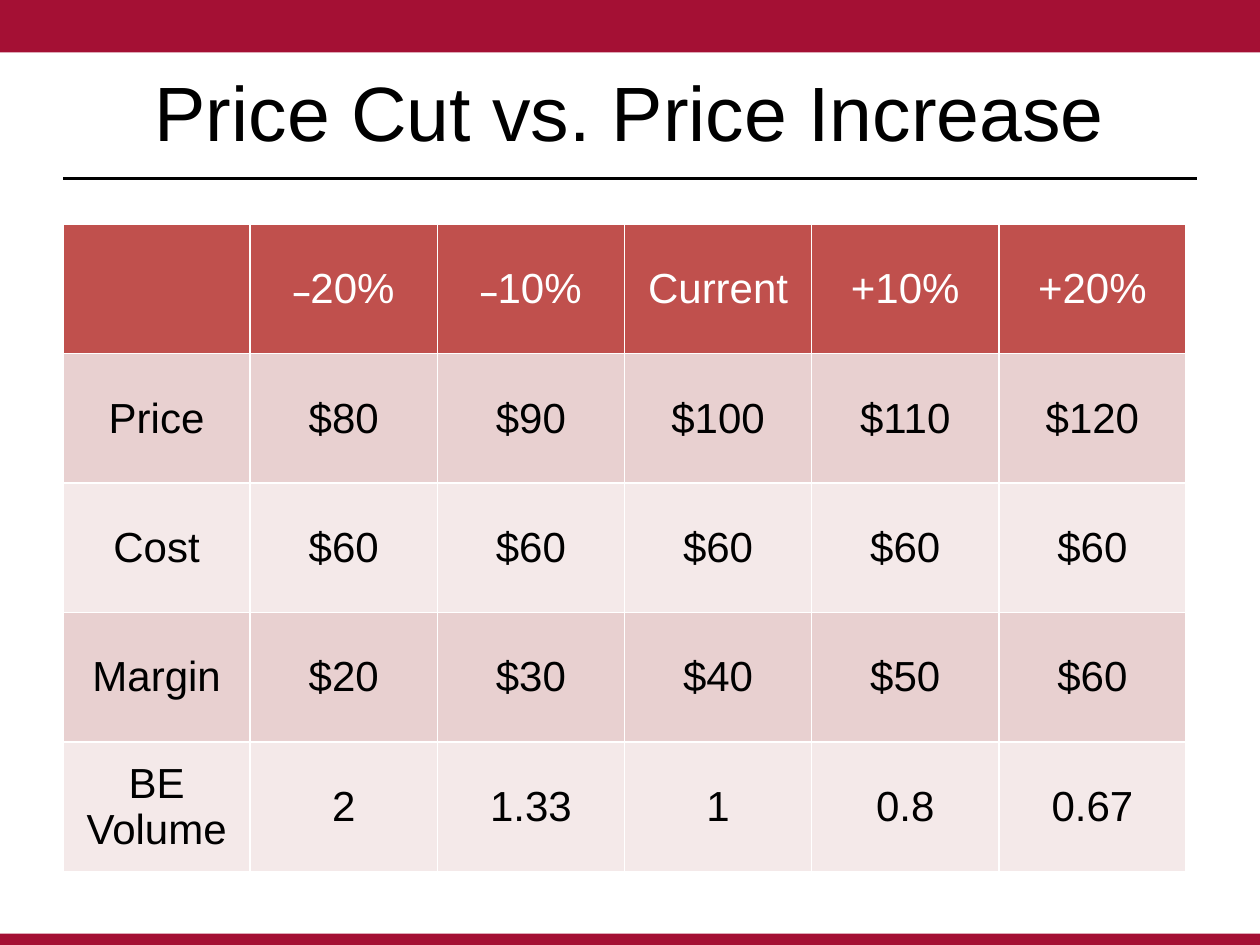
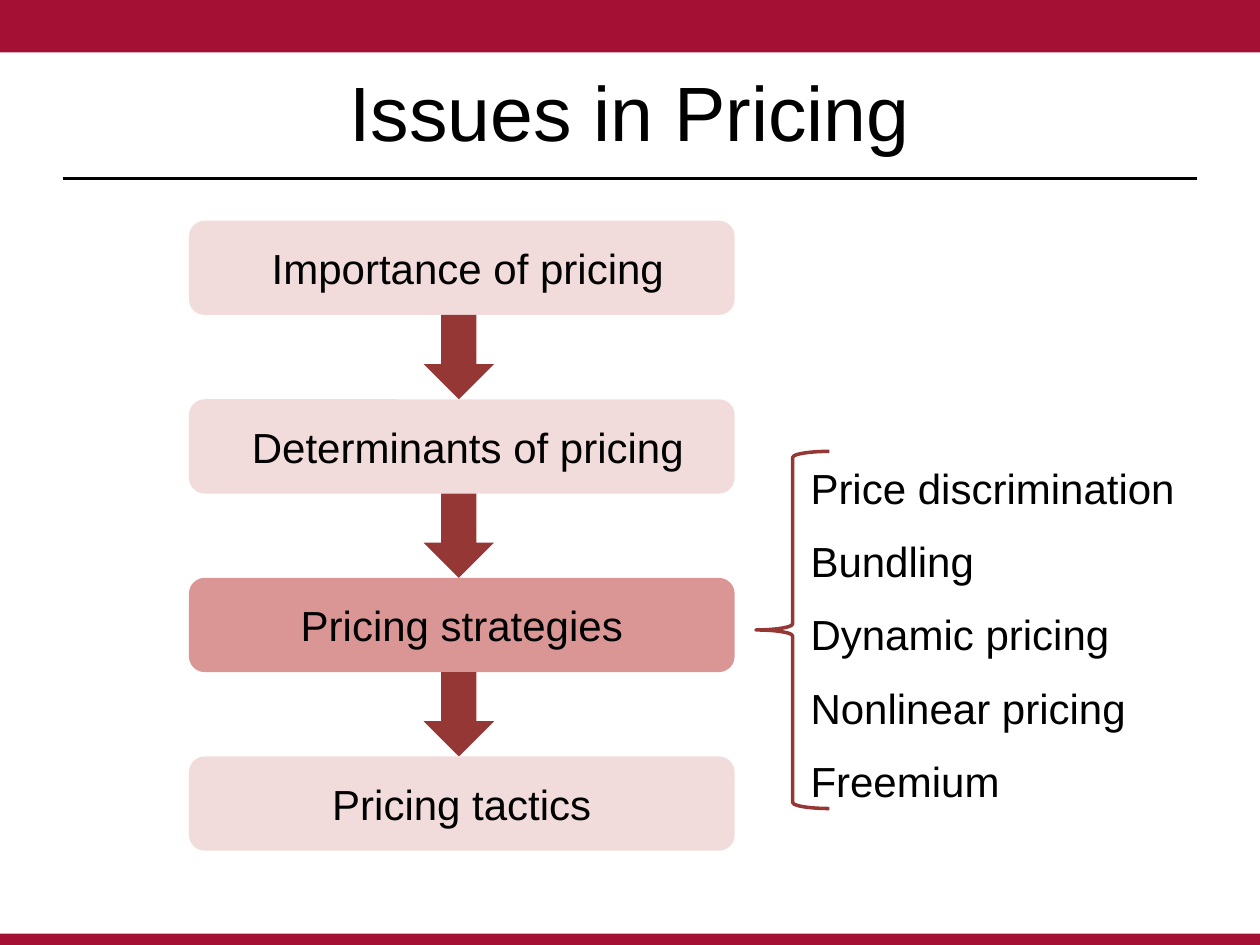
"""Builds two pricing slides: a break-even table and a flow of pricing issues."""
from lxml import etree
from pptx import Presentation
from pptx import util as u
from pptx.dml.color import RGBColor
from pptx.enum import shapes, text
from pptx.oxml.ns import qn

COLORS = {
    "band": "A41034", "ink": "000000", "paper": "FFFFFF",
    "header": "C0504D", "odd_row": "E8D0D0", "even_row": "F4E9E9",
    "stage": "F2DCDB", "current_stage": "D99694", "accent": "953735",
}
FONT = "Arial"
BODY_SIZE = 24
WIDTH, HEIGHT = u.Cm(25.4), u.Cm(19.05)
MARGIN = u.Cm(1.27)

TABLE_TITLE = "Price Cut vs. Price Increase"
PRICE_TABLE = [
    ["", "–20%", "–10%", "Current", "+10%", "+20%"],
    ["Price", "$80", "$90", "$100", "$110", "$120"],
    ["Cost", "$60", "$60", "$60", "$60", "$60"],
    ["Margin", "$20", "$30", "$40", "$50", "$60"],
    ["BE Volume", "2", "1.33", "1", "0.8", "0.67"],
]

ISSUES_TITLE = "Issues in Pricing"
STAGES = [
    ("Importance of pricing", "stage", u.Cm(0.24)),
    ("Determinants of pricing", "stage", u.Cm(0.24)),
    ("Pricing strategies", "current_stage", 0),
    ("Pricing tactics", "stage", 0),
]
STRATEGIES = ["Price discrimination", "Bundling", "Dynamic pricing",
              "Nonlinear pricing", "Freemium"]


def rgb(name):
    return RGBColor.from_string(COLORS[name])


def write(paragraph, words, size=BODY_SIZE, color="ink", align=text.PP_ALIGN.CENTER):
    paragraph.alignment = align
    paragraph.font.size = u.Pt(size)
    paragraph.font.name = FONT
    paragraph.font.color.rgb = rgb(color)
    if words.startswith("–"):
        minus = paragraph.add_run()
        minus.text = "–"
        minus.font.size, minus.font.bold = u.Pt(18), True
        words = words[1:]
    if words:
        paragraph.add_run().text = words


def add_filled(slide, preset, left, top, width, height, color):
    filled = slide.shapes.add_shape(preset, left, top, width, height)
    filled.shadow.inherit = False
    filled.fill.solid()
    filled.fill.fore_color.rgb = rgb(color)
    filled.line.fill.background()
    return filled


def add_slide(deck, title):
    slide = deck.slides.add_slide(deck.slide_layouts[6])
    for top, height in ((0, u.Cm(1.06)), (u.Cm(18.82), u.Cm(0.23))):
        add_filled(slide, shapes.MSO_SHAPE.RECTANGLE, 0, top, WIDTH, height, "band")
    rule_top = u.Cm(3.6)
    rule = slide.shapes.add_connector(
        shapes.MSO_CONNECTOR.STRAIGHT, MARGIN, rule_top, WIDTH - MARGIN, rule_top)
    rule.line.color.rgb = rgb("ink")
    rule.line.width = u.Pt(1.25)
    etree.SubElement(rule._element.spPr, qn("a:effectLst"))
    frame = slide.shapes.add_textbox(
        MARGIN, u.Cm(0.64), WIDTH - 2 * MARGIN, u.Cm(3.17)).text_frame
    frame.word_wrap = True
    frame.vertical_anchor = text.MSO_ANCHOR.MIDDLE
    write(frame.paragraphs[0], title, 44)
    return slide


def add_borders(cell):
    properties = cell._tc.get_or_add_tcPr()
    for position, side in enumerate(("lnL", "lnR", "lnT", "lnB")):
        border = etree.Element(qn(f"a:{side}"), w=str(u.Pt(1)))
        fill = etree.SubElement(border, qn("a:solidFill"))
        etree.SubElement(fill, qn("a:srgbClr"), val=COLORS["paper"])
        properties.insert(position, border)


def add_price_table(slide):
    rows, columns = len(PRICE_TABLE), len(PRICE_TABLE[0])
    table = slide.shapes.add_table(
        rows, columns, MARGIN, u.Cm(4.52), u.Cm(22.64), u.Cm(13.05)).table
    for row, entries in enumerate(PRICE_TABLE):
        background = "header" if row == 0 else "odd_row" if row % 2 else "even_row"
        for column, entry in enumerate(entries):
            cell = table.cell(row, column)
            cell.fill.solid()
            cell.fill.fore_color.rgb = rgb(background)
            cell.vertical_anchor = text.MSO_ANCHOR.MIDDLE
            paragraph = cell.text_frame.paragraphs[0]
            paragraph.font.bold = False
            write(paragraph, entry, color="ink" if row else "paper")
            add_borders(cell)


def add_stages(slide):
    left, first_top, width, height = u.Cm(3.81), u.Cm(4.45), u.Cm(11), u.Cm(1.9)
    pitch = u.Cm(3.6)
    for index, (words, color, indent) in enumerate(STAGES):
        top = first_top + index * pitch
        stage = add_filled(slide, shapes.MSO_SHAPE.ROUNDED_RECTANGLE,
                           left, top, width, height, color)
        frame = stage.text_frame
        frame.margin_left += indent
        frame.vertical_anchor = text.MSO_ANCHOR.MIDDLE
        write(frame.paragraphs[0], words)
        if index < len(STAGES) - 1:
            add_filled(slide, shapes.MSO_SHAPE.DOWN_ARROW, u.Cm(8.54), top + height,
                       u.Cm(1.42), pitch - height, "accent")


def add_strategies(slide):
    brace = slide.shapes.add_shape(shapes.MSO_SHAPE.LEFT_BRACE, u.Cm(15.24),
                                   u.Cm(9.1), u.Cm(1.48), u.Cm(7.2))
    brace.shadow.inherit = False
    brace.fill.background()
    brace.line.color.rgb = rgb("accent")
    brace.line.width = u.Pt(2)
    frame = slide.shapes.add_textbox(
        u.Cm(16.09), u.Cm(9.2), u.Cm(7.92), u.Cm(7.09)).text_frame
    frame.word_wrap = False
    for index, strategy in enumerate(STRATEGIES):
        paragraph = frame.add_paragraph() if index else frame.paragraphs[0]
        if index:
            paragraph.space_before = u.Pt(13)
        write(paragraph, strategy, align=text.PP_ALIGN.LEFT)


def main():
    deck = Presentation()
    deck.slide_width, deck.slide_height = WIDTH, HEIGHT
    add_price_table(add_slide(deck, TABLE_TITLE))
    issues = add_slide(deck, ISSUES_TITLE)
    add_strategies(issues)
    add_stages(issues)
    deck.save("out.pptx")


if __name__ == "__main__":
    main()
